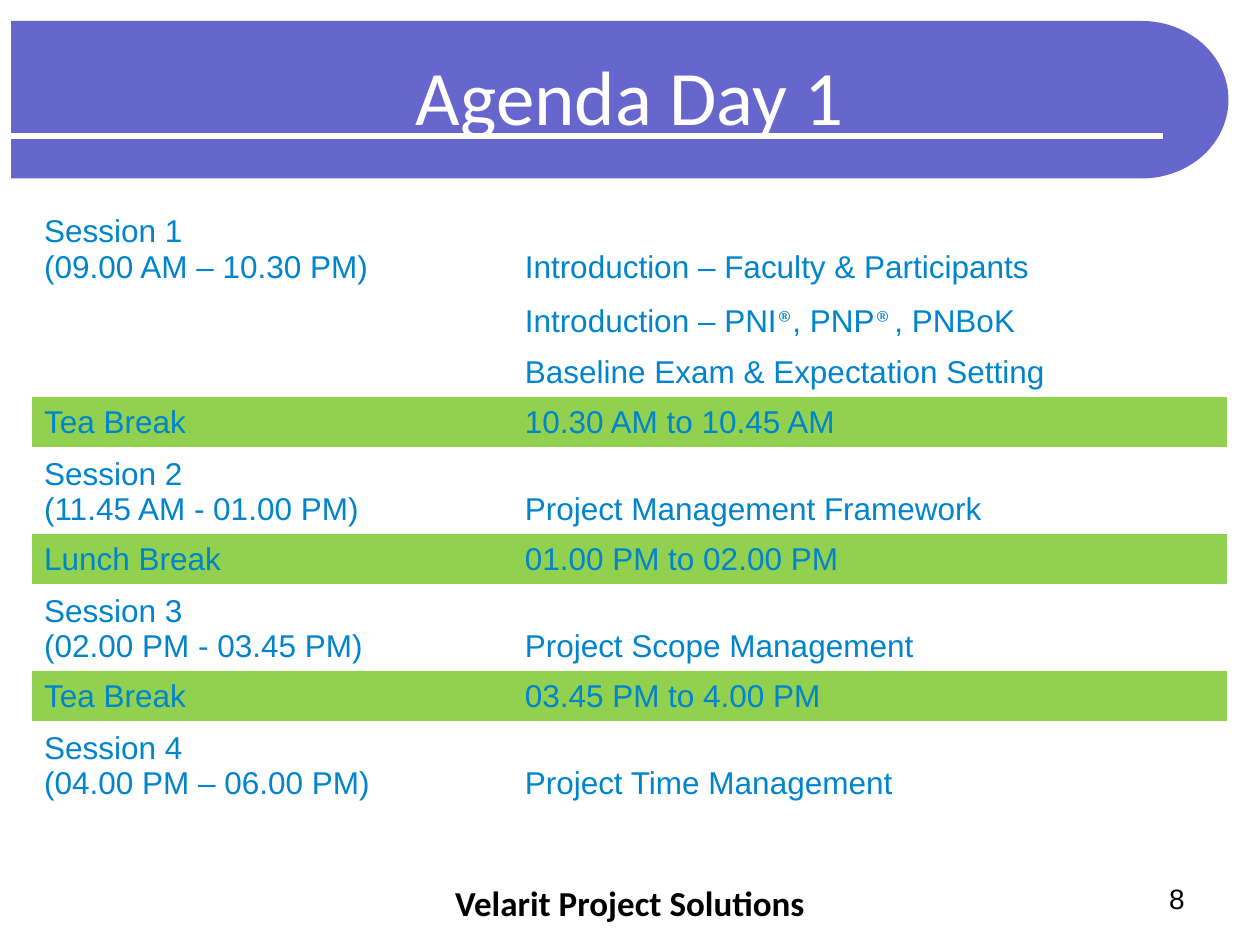
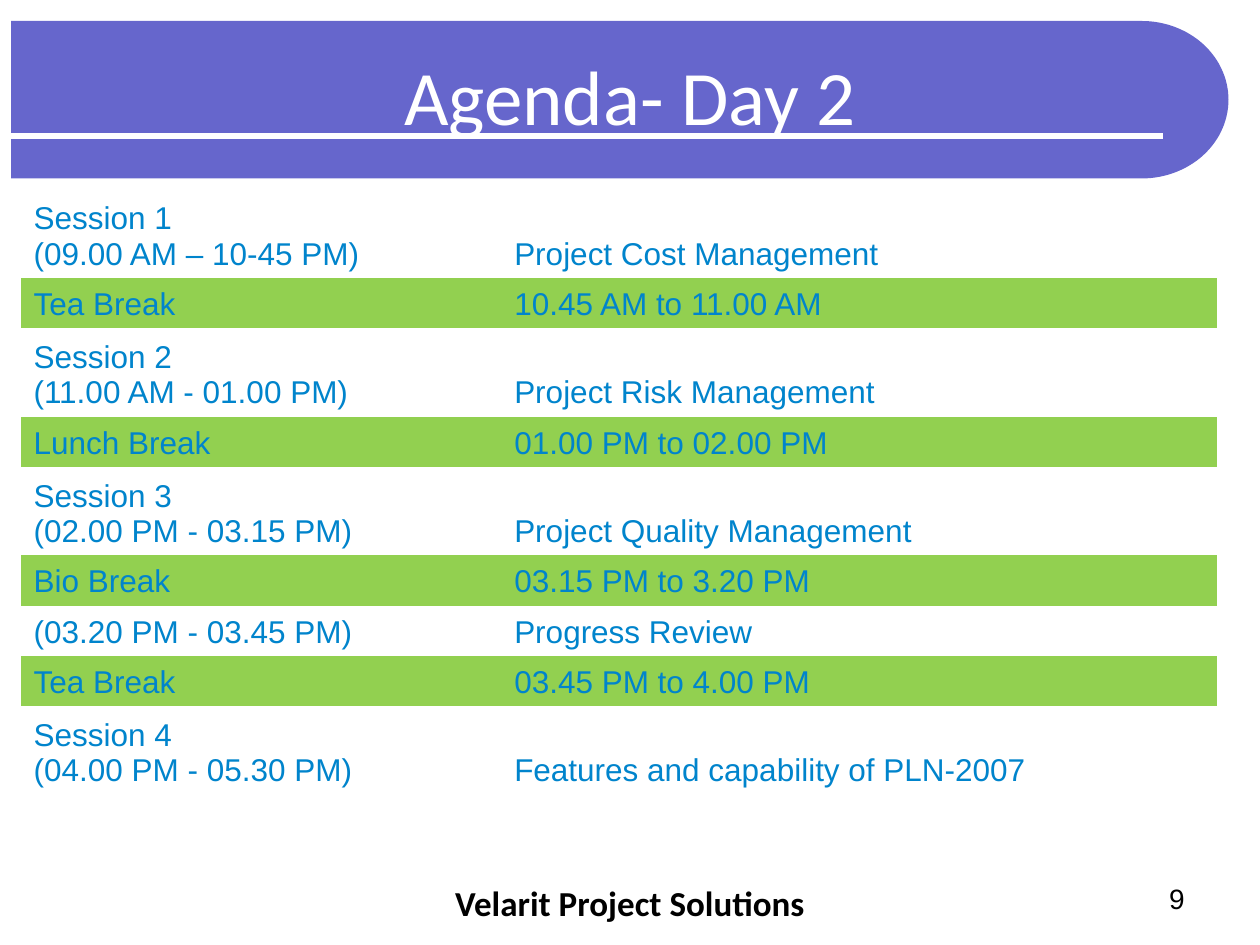
"""Build the two-day training agenda slides."""
import math

from lxml import etree
from pptx import Presentation
from pptx.dml.color import RGBColor
from pptx.enum import shapes, text
from pptx.oxml.ns import qn
from pptx.util import Pt

COLORS = {"band": "6666CC", "white": "FFFFFF", "black": "000000",
          "agenda": "0084CC", "break": "92D050"}
PLAIN_TABLE = "{2D5ABB26-0587-4C30-8999-92F81FD0307C}"
COLUMNS = (274.7, 408.6)
MARK_ROW = 31.7
FOOTER = "Velarit Project Solutions"

DAY_1 = [
    ("Session 1\n(09.00 AM – 10.30 PM)", ["Introduction – Faculty & Participants"]),
    ("", ["Introduction – PNI", "®", ", PNP", "® ", ", PNBoK"]),
    ("", ["Baseline Exam & Expectation Setting"]),
    ("Tea Break", ["10.30 AM to 10.45 AM"]),
    ("Session 2\n(11.45 AM - 01.00 PM)", ["Project Management Framework"]),
    ("Lunch Break", ["01.00 PM to 02.00 PM"]),
    ("Session 3\n(02.00 PM - 03.45 PM)", ["Project Scope Management"]),
    ("Tea Break", ["03.45 PM to 4.00 PM"]),
    ("Session 4\n(04.00 PM – 06.00 PM)", ["Project Time Management"]),
]
DAY_2 = [
    ("Session 1\n(09.00 AM – 10-45 PM)", ["Project Cost Management"]),
    ("Tea Break", ["10.45 AM to 11.00 AM"]),
    ("Session 2\n(11.00 AM - 01.00 PM)", ["Project Risk Management"]),
    ("Lunch Break", ["01.00 PM to 02.00 PM"]),
    ("Session 3\n(02.00 PM - 03.15 PM)", ["Project Quality Management"]),
    ("Bio Break", ["03.15 PM to 3.20 PM"]),
    ("(03.20 PM - 03.45 PM)", ["Progress Review"]),
    ("Tea Break", ["03.45 PM to 4.00 PM"]),
    ("Session 4\n(04.00 PM - 05.30 PM)", ["Features and capability of PLN-2007"]),
]


def rgb(name):
    """Return the named colour."""
    return RGBColor.from_string(COLORS[name])


def style_run(r, size, color, font="Arial", bold=False):
    """Set the font of one run."""
    r.font.name, r.font.size, r.font.bold = font, Pt(size), bold
    r.font.color.rgb = rgb(color)


def add_text(s, box, content, align, anchor, **style):
    """Add a one-paragraph text box."""
    tf = s.shapes.add_textbox(*map(Pt, box)).text_frame
    tf.word_wrap = True
    tf.vertical_anchor = anchor
    tf.text = content
    p = tf.paragraphs[0]
    p.alignment = align
    style_run(p.runs[0], **style)


def add_band(s):
    """Draw the title band with its rounded end and white rule."""
    left, end, middle, rx, ry = 6.3, 652.4, 57, 49.6, 45
    angles = [math.radians(a) for a in range(-90, 91, 3)]
    outline = [(Pt(end + rx * math.cos(a)), Pt(middle + ry * math.sin(a)))
               for a in angles]
    fb = s.shapes.build_freeform(Pt(left), Pt(middle - ry))
    fb.add_line_segments(outline + [(Pt(left), Pt(middle + ry))], close=True)
    sp = fb.convert_to_shape()
    sp.shadow.inherit = False
    sp.fill.solid()
    sp.fill.fore_color.rgb = rgb("band")
    sp.line.fill.background()

    rule = s.shapes.add_connector(shapes.MSO_CONNECTOR.STRAIGHT,
                                  Pt(6), Pt(77.8), Pt(664.4), Pt(77.8))
    rule.line.color.rgb = rgb("white")
    rule.line.width = Pt(3)
    etree.SubElement(rule._element.spPr, qn("a:effectLst"))


def fill_cell(cell, parts, is_break):
    """Write the parts in a cell, raising registered marks."""
    cell.vertical_anchor = text.MSO_ANCHOR.BOTTOM
    cell.margin_top = Pt(2)
    if is_break:
        cell.fill.solid()
        cell.fill.fore_color.rgb = rgb("break")
    else:
        cell.fill.background()
    tf = cell.text_frame
    tf.text = parts[0]
    for part in parts[1:]:
        tf.paragraphs[0].add_run().text = part
    for p in tf.paragraphs:
        for r in p.runs:
            mark = r.text.startswith("®")
            style_run(r, 18, "agenda", "Cambria" if mark else "Arial", mark)
            if mark:
                r._r.get_or_add_rPr().set("baseline", "30000")


def row_height(slot, topic, session_height, short_height):
    """Choose a row height from the lines and marks it holds."""
    if "\n" in slot:
        return session_height
    return MARK_ROW if len(topic) > 1 else short_height


def add_agenda(s, left, top, rows, session_height, short_height):
    """Add the table of sessions and breaks."""
    heights = [row_height(*row, session_height, short_height) for row in rows]
    frame = s.shapes.add_table(len(rows), len(COLUMNS), Pt(left), Pt(top),
                               Pt(sum(COLUMNS)), Pt(sum(heights)))
    table = frame.table
    table.first_row = table.horz_banding = False
    table._tbl.tblPr.find(qn("a:tableStyleId")).text = PLAIN_TABLE
    for column, width in zip(table.columns, COLUMNS):
        column.width = Pt(width)
    for row, height, (slot, topic) in zip(table.rows, heights, rows):
        row.height = Pt(height)
        for cell, parts in zip(row.cells, ([slot], topic)):
            fill_cell(cell, parts, slot.endswith("Break"))


def add_day(prs, title, number, **agenda):
    """Add one agenda slide."""
    s = prs.slides.add_slide(prs.slide_layouts[6])
    align, anchor = text.PP_ALIGN, text.MSO_ANCHOR
    add_band(s)
    add_text(s, (36, 12, 648, 84), title, align.CENTER, anchor.MIDDLE,
             size=44, color="white", font="Calibri")
    add_agenda(s, **agenda)
    add_text(s, (246, 500.4, 228, 28.8), FOOTER, align.CENTER, anchor.TOP,
             size=20, color="black", font="Calibri", bold=True)
    add_text(s, (516, 500.4, 168, 28.8), str(number), align.RIGHT, anchor.TOP,
             size=16, color="black")


def main():
    """Build and save the presentation."""
    prs = Presentation()
    prs.slide_width, prs.slide_height = Pt(720), Pt(540)
    add_day(prs, "Agenda Day 1", 8, left=18, top=116.7, rows=DAY_1,
            session_height=49.7, short_height=28.6)
    add_day(prs, "Agenda- Day 2", 9, left=12, top=108.5, rows=DAY_2,
            session_height=50.4, short_height=28.8)
    prs.save("out.pptx")


if __name__ == "__main__":
    main()
